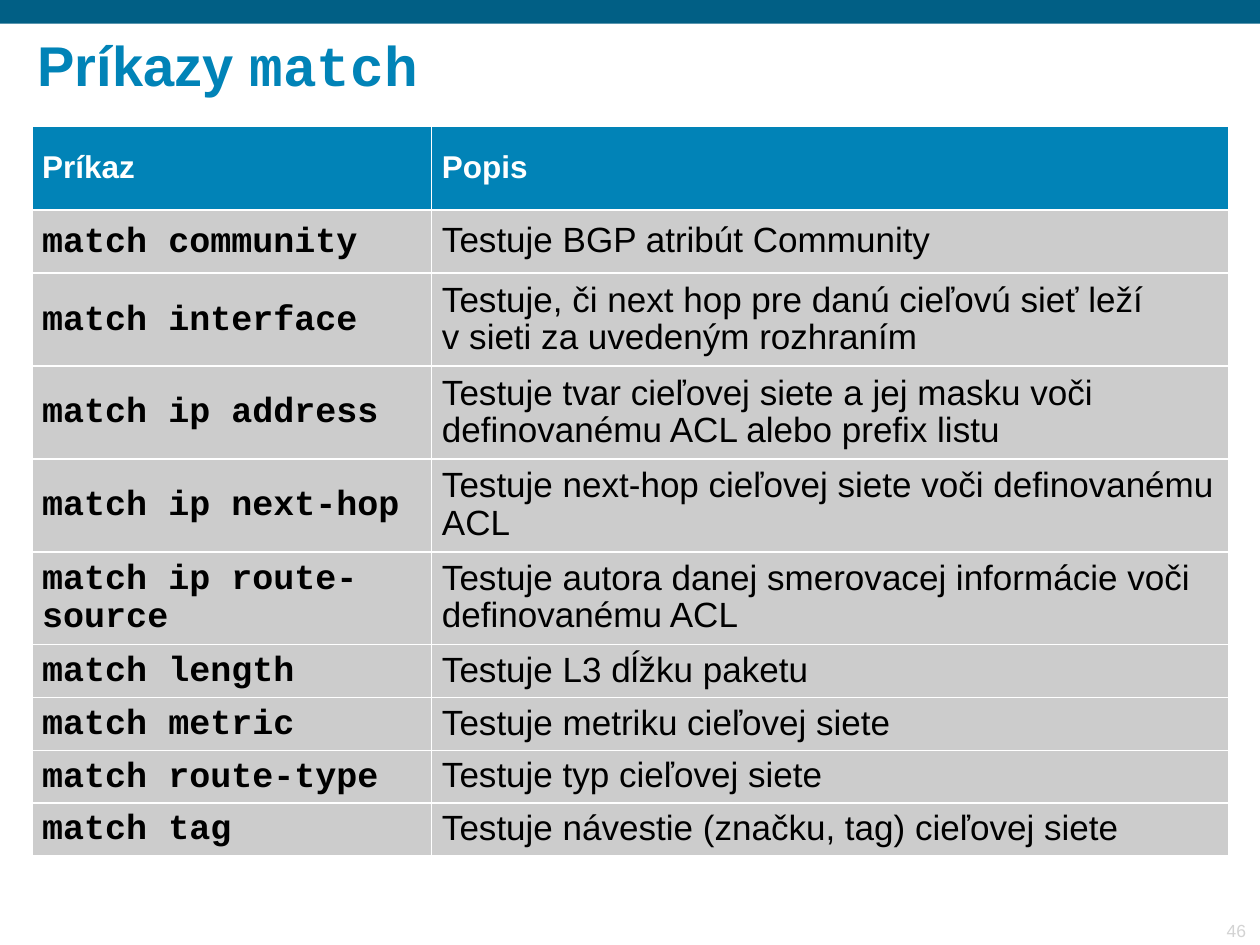
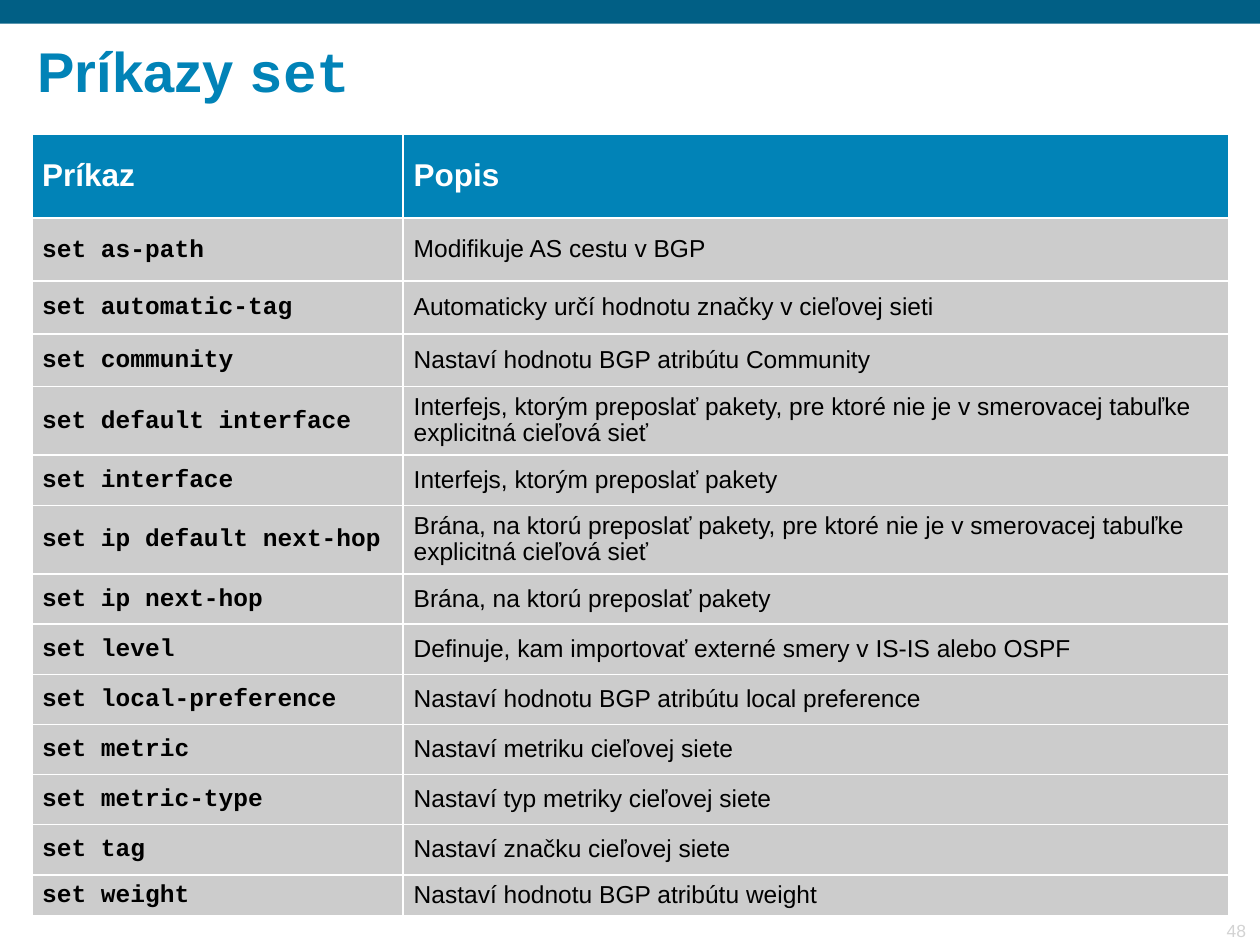
import lxml.etree
import pptx
import pptx.dml.color
import pptx.enum.shapes
import pptx.enum.text
import pptx.oxml.ns
import pptx.util

Cm = pptx.util.Cm
Pt = pptx.util.Pt
ALIGN = pptx.enum.text.PP_ALIGN
ANCHOR = pptx.enum.text.MSO_ANCHOR

SANS, MONO = "Arial", "Courier New"
BAND, ACCENT, CELL = "015F85", "0183B7", "CCCCCC"
WHITE, BLACK, PALE = "FFFFFF", "000000", "D3D3D3"
TABLE_LEFT = 0.64
HEADINGS = ("Príkaz", "Popis")

MATCH_COMMANDS = [
    ("match community", "Testuje BGP atribút Community"),
    ("match interface", "Testuje, či next hop pre danú cieľovú sieť leží\nv sieti za uvedeným rozhraním"),
    ("match ip address", "Testuje tvar cieľovej siete a jej masku voči definovanému ACL alebo prefix listu"),
    ("match ip next-hop", "Testuje next-hop cieľovej siete voči definovanému ACL"),
    ("match ip route-source", "Testuje autora danej smerovacej informácie voči definovanému ACL"),
    ("match length", "Testuje L3 dĺžku paketu"),
    ("match metric", "Testuje metriku cieľovej siete"),
    ("match route-type", "Testuje typ cieľovej siete"),
    ("match tag", "Testuje návestie (značku, tag) cieľovej siete"),
]
SET_COMMANDS = [
    ("set as-path", "Modifikuje AS cestu v BGP"),
    ("set automatic-tag", "Automaticky určí hodnotu značky v cieľovej sieti"),
    ("set community", "Nastaví hodnotu BGP atribútu Community"),
    ("set default interface",
     "Interfejs, ktorým preposlať pakety, pre ktoré nie je v smerovacej tabuľke explicitná cieľová sieť"),
    ("set interface", "Interfejs, ktorým preposlať pakety"),
    ("set ip default next-hop",
     "Brána, na ktorú preposlať pakety, pre ktoré nie je v smerovacej tabuľke explicitná cieľová sieť"),
    ("set ip next-hop", "Brána, na ktorú preposlať pakety"),
    ("set level", "Definuje, kam importovať externé smery v IS-IS alebo OSPF"),
    ("set local-preference", "Nastaví hodnotu BGP atribútu local preference"),
    ("set metric", "Nastaví metriku cieľovej siete"),
    ("set metric-type", "Nastaví typ metriky cieľovej siete"),
    ("set tag", "Nastaví značku cieľovej siete"),
    ("set weight", "Nastaví hodnotu BGP atribútu weight"),
]


def color(value):
    """Turn a hex string into a colour."""
    return pptx.dml.color.RGBColor.from_string(value)


def write_text(paragraph, text, font=SANS, size=18, fill=BLACK, bold=False,
               align=ALIGN.LEFT, spacing=1.0):
    """Append formatted text to a paragraph, breaking lines at newlines."""
    paragraph.alignment = align
    paragraph.line_spacing = spacing
    for index, line in enumerate(text.split("\n")):
        if index:
            paragraph.add_line_break()
        run = paragraph.add_run()
        run.text = line
        run.font.name = font
        run.font.size = Pt(size)
        run.font.bold = bold
        run.font.color.rgb = color(fill)


def add_text_box(slide, left, top, width, height, anchor, wrap=True):
    """Add a text box and return its first paragraph."""
    frame = slide.shapes.add_textbox(Cm(left), Cm(top), Cm(width), Cm(height)).text_frame
    frame.word_wrap = wrap
    frame.vertical_anchor = anchor
    frame.margin_left = frame.margin_right = Cm(0.23)
    frame.margin_top = frame.margin_bottom = Cm(0.11)
    return frame.paragraphs[0]


def add_band(slide, width, height):
    """Draw the dark band along the top edge."""
    band = slide.shapes.add_shape(
        pptx.enum.shapes.MSO_SHAPE.RECTANGLE, 0, 0, width, Cm(height))
    band.shadow.inherit = False
    band.fill.solid()
    band.fill.fore_color.rgb = color(BAND)
    band.line.fill.background()


def add_title(slide, keyword, top):
    """Write the title with its keyword in a monospaced font."""
    paragraph = add_text_box(slide, 0.53, top, 24.46, 2.34, ANCHOR.MIDDLE)
    for text, font in (("Príkazy ", SANS), (keyword, MONO)):
        write_text(paragraph, text, font=font, size=32, fill=ACCENT, bold=True, spacing=0.9)


def add_page_number(slide, number):
    """Write the page number in the bottom right corner."""
    paragraph = add_text_box(slide, 23.29, 18.42, 2.06, 0.66, ANCHOR.BOTTOM, wrap=False)
    write_text(paragraph, str(number), size=10, fill=PALE, align=ALIGN.RIGHT)


def style_cell(cell, fill):
    """Set the fill, margins and white borders of a table cell."""
    cell.fill.solid()
    cell.fill.fore_color.rgb = color(fill)
    cell.vertical_anchor = ANCHOR.MIDDLE
    cell.margin_left = cell.margin_right = Cm(0.21)
    cell.margin_top = cell.margin_bottom = Cm(0.13)
    qn = pptx.oxml.ns.qn
    properties = cell._tc.get_or_add_tcPr()
    for index, side in enumerate(("a:lnL", "a:lnR", "a:lnT", "a:lnB")):
        border = lxml.etree.Element(qn(side), w=str(Pt(1.08)))
        solid = lxml.etree.SubElement(border, qn("a:solidFill"))
        lxml.etree.SubElement(solid, qn("a:srgbClr"), val=WHITE)
        properties.insert(index, border)


def add_command_table(slide, commands, top, column_widths, row_heights, size):
    """Add the table of commands and their descriptions."""
    rows = [HEADINGS] + commands
    table = slide.shapes.add_table(
        len(rows), len(HEADINGS), Cm(TABLE_LEFT), Cm(top),
        Cm(sum(column_widths)), Cm(sum(row_heights))).table
    table.horz_banding = False
    for column, width in zip(table.columns, column_widths):
        column.width = Cm(width)
    for row, height, texts in zip(table.rows, row_heights, rows):
        row.height = Cm(height)
        heading = texts is HEADINGS
        for cell, text, body_font in zip(row.cells, texts, (MONO, SANS)):
            style_cell(cell, ACCENT if heading else CELL)
            write_text(cell.text_frame.paragraphs[0], text, spacing=0.95,
                       font=SANS if heading else body_font,
                       size=18 if heading else size,
                       fill=WHITE if heading else BLACK,
                       bold=heading or body_font == MONO)


def add_command_slide(presentation, keyword, number, title_top, **table_format):
    """Build one slide that lists the commands of a keyword."""
    slide = presentation.slides.add_slide(presentation.slide_layouts[6])
    add_band(slide, presentation.slide_width, 0.48)
    add_page_number(slide, number)
    add_title(slide, keyword, title_top)
    add_command_table(slide, **table_format)


def main():
    """Build and save the presentation."""
    presentation = pptx.Presentation()
    presentation.slide_width, presentation.slide_height = Cm(25.4), Cm(19.05)
    add_command_slide(
        presentation, "match", 46, 0.2, commands=MATCH_COMMANDS, top=2.55, size=20,
        column_widths=(8.06, 16.07),
        row_heights=[1.69, 1.27] + [1.81] * 4 + [1.01] * 4)
    add_command_slide(
        presentation, "set", 48, 0.32, commands=SET_COMMANDS, top=2.71, size=14,
        column_widths=(7.49, 16.64),
        row_heights=[1.69, 1.27, 1.06, 1.06, 1.32, 1.01, 1.32] + [1.01] * 6 + [0.83])
    presentation.save("out.pptx")


if __name__ == "__main__":
    main()
